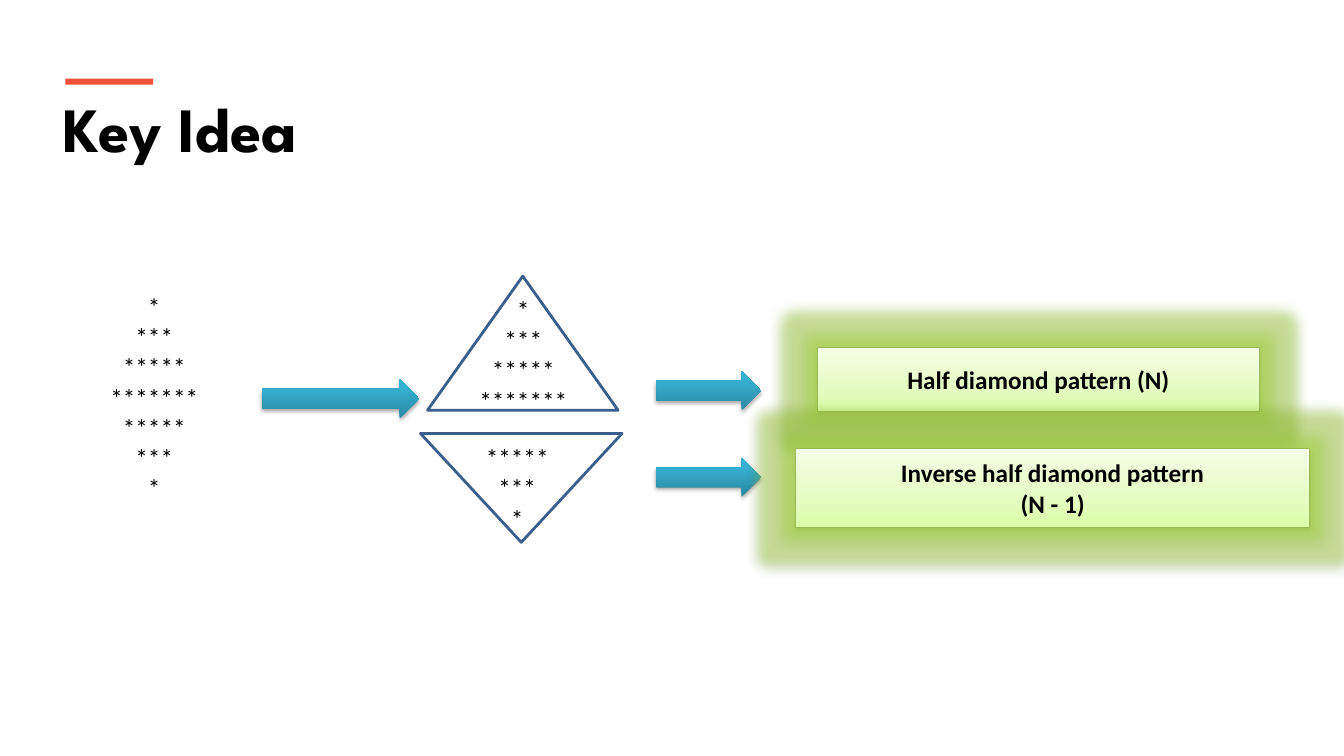
from dataclasses import dataclass

from lxml.etree import SubElement
from pptx import Presentation
from pptx.dml.color import RGBColor
from pptx.enum.shapes import MSO_SHAPE
from pptx.enum.text import MSO_ANCHOR, PP_ALIGN
from pptx.oxml.ns import qn
from pptx.util import Inches, Pt

COLORS = {
    "black": "000000",
    "accent": "F05136",
    "outline": "3A5F8C",
    "box_line": "98B955",
    "glow": "A8DF34",
}
ARROW_STOPS = [(0, "2A88A2"), (80, "37B1D2"), (100, "34B4D6")]
BOX_STOPS = [(0, "DAFDA7"), (35, "E4FCC2"), (100, "F5FFE7")]


@dataclass
class Area:
    left: float
    top: float
    width: float
    height: float

    def lengths(self) -> list:
        return [Inches(v) for v in (self.left, self.top, self.width, self.height)]


@dataclass
class Stars:
    area: Area
    counts: list[int]


@dataclass
class Triangle:
    area: Area
    rotation: int


@dataclass
class Pattern:
    area: Area
    lines: list[str]


def color(name: str) -> RGBColor:
    return RGBColor.from_string(COLORS[name])


def write(frame, lines: list[str], size: float, font: str = "Calibri",
          bold: bool = False, align=PP_ALIGN.CENTER) -> None:
    frame.word_wrap = True
    for index, line in enumerate(lines):
        paragraph = frame.paragraphs[0] if index == 0 else frame.add_paragraph()
        paragraph.alignment = align
        run = paragraph.add_run()
        run.text = line
        run.font.size = Pt(size)
        run.font.name = font
        run.font.bold = bold
        run.font.color.rgb = color("black")


def add_plain(slide, kind, area: Area):
    shape = slide.shapes.add_shape(kind, *area.lengths())
    shape.shadow.inherit = False
    shape.fill.background()
    shape.line.fill.background()
    return shape


def set_gradient(shape, stops: list[tuple[int, str]]) -> None:
    shape.fill.gradient()
    shape.fill.gradient_angle = 90
    stop_list = shape._element.spPr.find(".//" + qn("a:gsLst"))
    for old_stop in list(stop_list):
        stop_list.remove(old_stop)
    for position, value in stops:
        stop = SubElement(stop_list, qn("a:gs"), pos=str(position * 1000))
        SubElement(stop, qn("a:srgbClr"), val=value)


def add_effect(shape, tag: str, name: str, alpha: int, **settings: str) -> None:
    effects = shape._element.spPr.find(qn("a:effectLst"))
    effect = SubElement(effects, qn(tag), **settings)
    tint = SubElement(effect, qn("a:srgbClr"), val=COLORS[name])
    SubElement(tint, qn("a:alpha"), val=str(alpha * 1000))


def add_shadow(shape, alpha: int, distance: float) -> None:
    add_effect(shape, "a:outerShdw", "black", alpha, blurRad=str(Pt(3.1)),
               dist=str(Pt(distance)), dir="5400000", rotWithShape="0")


def add_stars(slide, stars: Stars) -> None:
    box = slide.shapes.add_textbox(*stars.area.lengths())
    write(box.text_frame, ["*" * count for count in stars.counts], 18)


def add_triangle(slide, triangle: Triangle) -> None:
    outline = add_plain(slide, MSO_SHAPE.ISOSCELES_TRIANGLE, triangle.area)
    outline.rotation = triangle.rotation
    outline.line.color.rgb = color("outline")
    outline.line.width = Pt(2)


def add_arrow(slide, area: Area) -> None:
    arrow = add_plain(slide, MSO_SHAPE.RIGHT_ARROW, area)
    set_gradient(arrow, ARROW_STOPS)
    add_shadow(arrow, 35, 1.8)


def add_pattern(slide, pattern: Pattern) -> None:
    box = add_plain(slide, MSO_SHAPE.RECTANGLE, pattern.area)
    set_gradient(box, BOX_STOPS)
    box.line.color.rgb = color("box_line")
    box.line.width = Pt(0.75)
    add_effect(box, "a:glow", "glow", 40, rad=str(Pt(18)))
    add_shadow(box, 38, 1.6)
    box.text_frame.vertical_anchor = MSO_ANCHOR.MIDDLE
    write(box.text_frame, pattern.lines, 18, bold=True)


STARS = [
    Stars(Area(0.73, 2.84, 1.6, 2.24), [1, 3, 5, 7, 5, 3, 1]),
    Stars(Area(4.39, 2.87, 1.6, 1.31), [1, 3, 5, 7]),
    Stars(Area(4.33, 4.34, 1.6, 1.01), [5, 3, 1]),
]
TRIANGLES = [
    Triangle(Area(4.24, 2.74, 1.89, 1.33), 0),
    Triangle(Area(4.17, 4.3, 2, 1.08), 180),
]
ARROWS = [
    Area(2.6, 3.76, 1.56, 0.39),
    Area(6.51, 3.68, 1.04, 0.39),
    Area(6.51, 4.54, 1.04, 0.39),
]
PATTERNS = [
    Pattern(Area(8.11, 3.45, 4.38, 0.63), ["Half diamond pattern (N)"]),
    Pattern(Area(7.89, 4.45, 5.1, 0.78),
            ["Inverse half diamond pattern", "(N - 1)"]),
]


def main() -> None:
    deck = Presentation()
    deck.slide_width, deck.slide_height = Inches(13.33), Inches(7.5)
    slide = deck.slides.add_slide(deck.slide_layouts[6])

    # Heading
    accent_bar = add_plain(slide, MSO_SHAPE.RECTANGLE, Area(0.65, 0.78, 0.87, 0.06))
    accent_bar.fill.solid()
    accent_bar.fill.fore_color.rgb = color("accent")
    heading = slide.shapes.add_textbox(*Area(0.58, 0.84, 12.34, 0.86).lengths())
    heading.text_frame.margin_left = Inches(0.05)
    write(heading.text_frame, ["Key Idea"], 45, "League Spartan", True, PP_ALIGN.LEFT)

    # Diamond and its two halves
    for stars in STARS:
        add_stars(slide, stars)
    for triangle in TRIANGLES:
        add_triangle(slide, triangle)

    # Steps from the diamond to the named patterns
    for arrow_area in ARROWS:
        add_arrow(slide, arrow_area)
    for pattern in PATTERNS:
        add_pattern(slide, pattern)

    deck.save("out.pptx")


if __name__ == "__main__":
    main()
